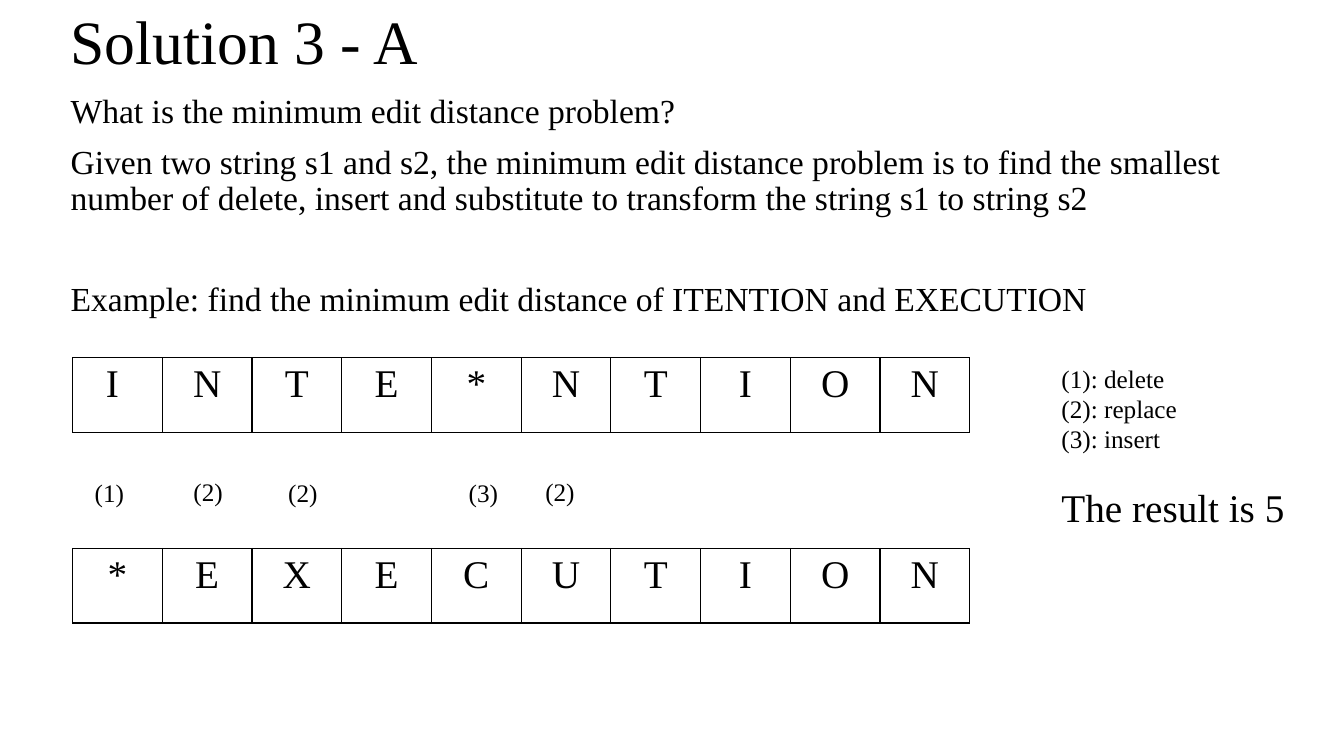
import pptx
import pptx.util
from dataclasses import dataclass
from lxml import etree
from pptx.dml.color import RGBColor
from pptx.enum.text import MSO_ANCHOR, MSO_AUTO_SIZE, PP_ALIGN
from pptx.oxml.ns import qn

Pt = pptx.util.Pt


@dataclass(frozen=True)
class Theme:
    font: str = "Times New Roman"
    ink: str = "000000"
    head: int = 44
    body: int = 24
    cell: int = 28
    note: int = 18
    rule: int = 1


THEME = Theme()

TITLE = "Solution 3 - A"
# text, space before in points
BODY = [
    ("What is the minimum edit distance problem?", 0),
    ("Given two string s1 and s2, the minimum edit distance problem is to find "
     "the smallest number of delete, insert and substitute to transform the "
     "string s1 to string s2", 10),
    ("Example: find the minimum edit distance of ITENTION and EXECUTION", 46),
]
# letters, top, extra right margin of the first cell
WORDS = [("INTE*NTION", 355, 10), ("*EXECUTION", 544, 0)]
# text, left, top
MARKS = [("(1)", 84, 469), ("(2)", 182, 468), ("(2)", 276, 469),
         ("(3)", 455, 469), ("(2)", 531, 468)]
# text, size, space before in points
KEY = [("(1): delete", THEME.note, 0), ("(2): replace", THEME.note, 0),
       ("(3): insert", THEME.note, 0), ("The result is 5", THEME.cell, 21)]

LEFT, CELL_W, CELL_H = 72, 89, 74
INSET = 10


def px(n):
    return pptx.util.Emu(n * 9144)


def place(shape, x, y, w, h):
    shape.left, shape.top, shape.width, shape.height = map(px, (x, y, w, h))


def write(para, text, size):
    run = para.add_run()
    run.text = text
    run.font.name = THEME.font
    run.font.size = Pt(size)
    run.font.color.rgb = RGBColor.from_string(THEME.ink)


def fill(frame, rows, lead=None):
    """Write (text, size, space before) rows as paragraphs."""
    frame.word_wrap = True
    for i, (text, size, gap) in enumerate(rows):
        para = frame.add_paragraph() if i else frame.paragraphs[0]
        if lead:
            props = para._p.get_or_add_pPr()
            props.set("marL", "0")
            props.set("indent", "0")
            etree.SubElement(props, qn("a:buNone"))
            para.line_spacing = lead
        para.alignment = PP_ALIGN.LEFT
        para.space_before = Pt(gap)
        write(para, text, size)


def border(cell):
    props = cell._tc.get_or_add_tcPr()
    for i, side in enumerate(("lnL", "lnR", "lnT", "lnB")):
        line = etree.Element(qn("a:" + side), w=str(Pt(THEME.rule)))
        paint = etree.SubElement(line, qn("a:solidFill"))
        etree.SubElement(paint, qn("a:srgbClr"), val=THEME.ink)
        props.insert(i, line)


def add_word(slide, word, top, shift):
    table = slide.shapes.add_table(1, len(word), px(LEFT), px(top),
                                   px(CELL_W * len(word)), px(CELL_H)).table
    table.first_row = table.horz_banding = False
    for i, char in enumerate(word):
        cell = table.cell(0, i)
        cell.fill.background()
        border(cell)
        para = cell.text_frame.paragraphs[0]
        para.alignment = PP_ALIGN.CENTER
        write(para, char, THEME.cell)
    table.cell(0, 0).margin_right = px(INSET + shift)


def add_note(slide, rows, *area):
    box = slide.shapes.add_textbox(*map(px, area))
    fill(box.text_frame, rows)


def main():
    deck = pptx.Presentation()
    deck.slide_width, deck.slide_height = px(1333), px(750)
    slide = deck.slides.add_slide(deck.slide_layouts[1])

    title, body = slide.placeholders
    place(title, 60, 0, 1032, 89)
    title.text_frame.vertical_anchor = MSO_ANCHOR.MIDDLE
    place(body, 60, 89, 1246, 533)
    body.text_frame.vertical_anchor = MSO_ANCHOR.TOP
    for holder in (title, body):
        holder.text_frame.auto_size = MSO_AUTO_SIZE.NONE
    fill(title.text_frame, [(TITLE, THEME.head, 0)], 0.9)
    fill(body.text_frame, [(text, THEME.body, gap) for text, gap in BODY], 0.9)

    for word in WORDS:
        add_word(slide, *word)
    for text, x, y in MARKS:
        add_note(slide, [(text, THEME.note, 0)], x, y, 58, 40)
    add_note(slide, KEY, 1043, 355, 274, 178)
    deck.save("out.pptx")


if __name__ == "__main__":
    main()
